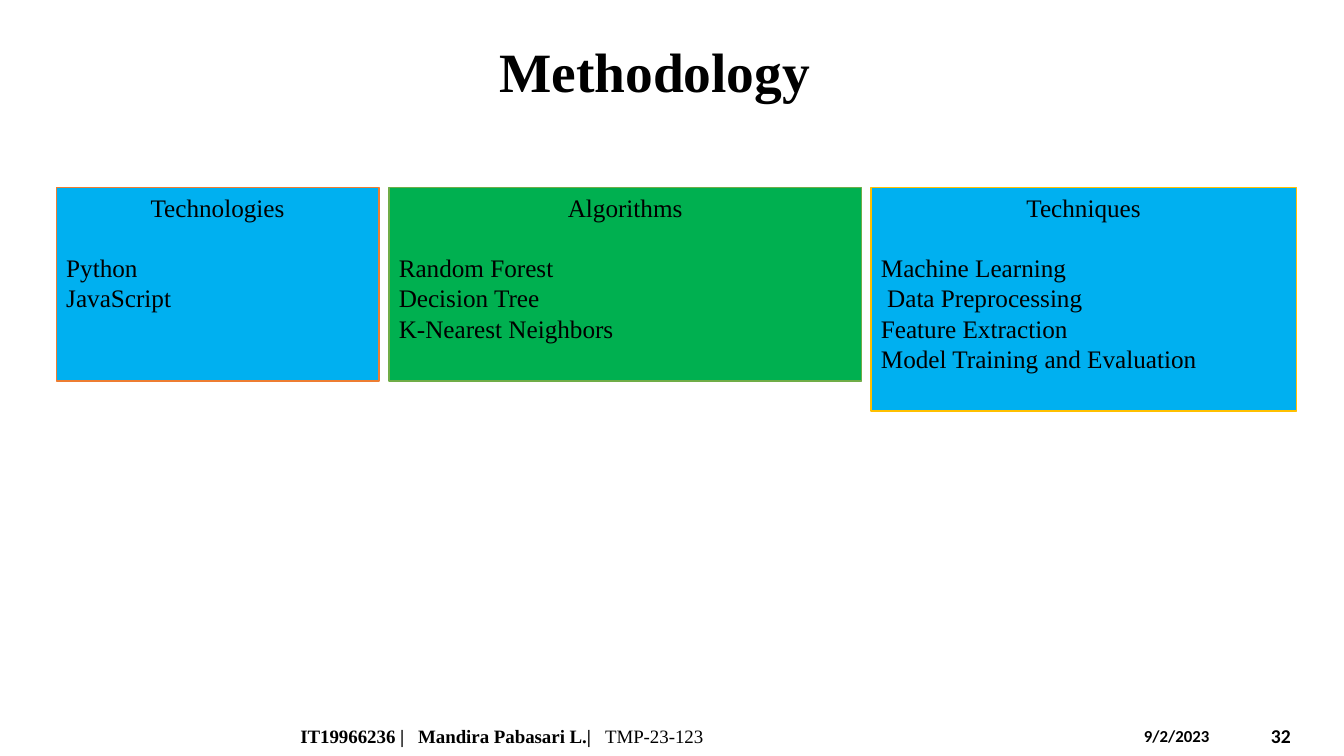
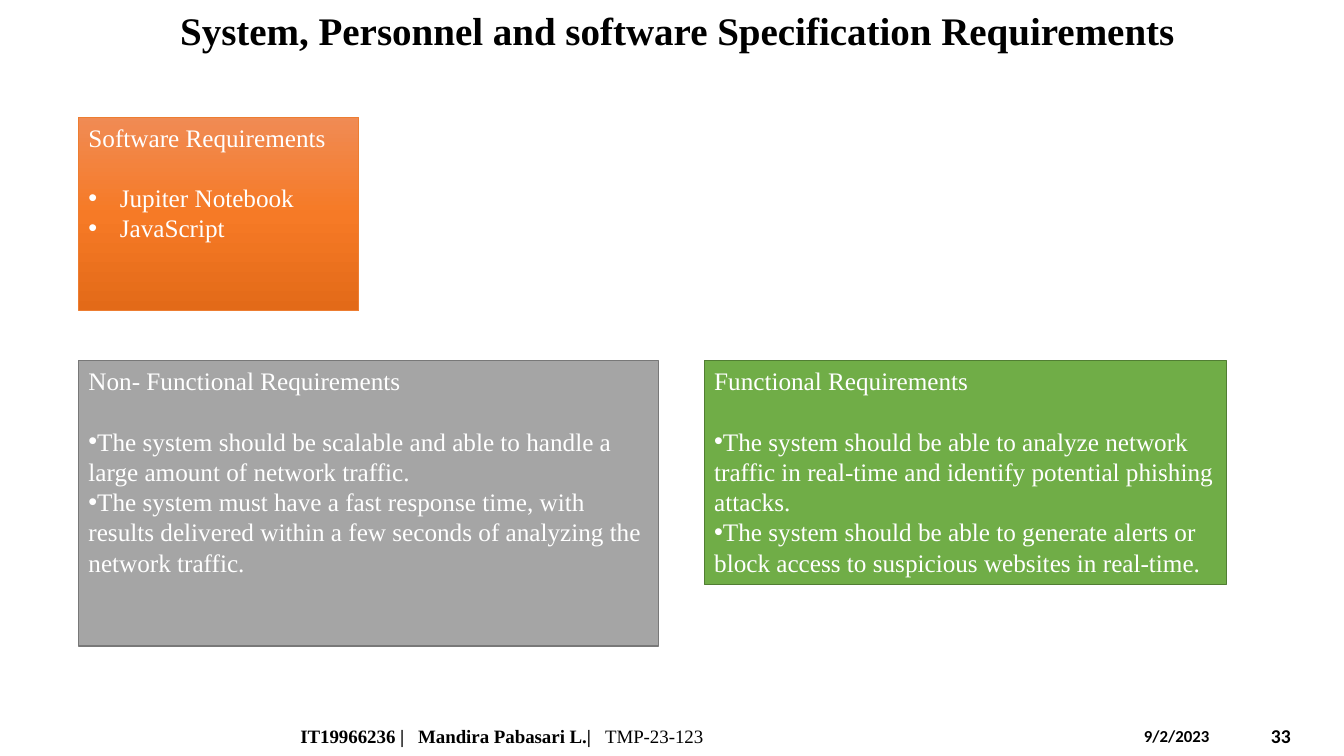
from copy import deepcopy

from lxml import etree
from pptx import Presentation
from pptx.dml.color import RGBColor
from pptx.enum.shapes import MSO_SHAPE
from pptx.enum.text import MSO_ANCHOR, PP_ALIGN
from pptx.oxml.ns import qn
from pptx.util import Cm, Pt

RECTANGLE = MSO_SHAPE.RECTANGLE
TOP, MIDDLE = MSO_ANCHOR.TOP, MSO_ANCHOR.MIDDLE
LEFT, CENTER = PP_ALIGN.LEFT, PP_ALIGN.CENTER

BLACK = RGBColor(0x00, 0x00, 0x00)
WHITE = RGBColor(0xFF, 0xFF, 0xFF)
SKY = RGBColor(0x00, 0xB0, 0xF0)
EMERALD = RGBColor(0x00, 0xB0, 0x50)
ORANGE = RGBColor(0xED, 0x7D, 0x31)
GOLD = RGBColor(0xFF, 0xC0, 0x00)
GREEN = RGBColor(0x70, 0xAD, 0x47)
DARK_GREEN = RGBColor(0x51, 0x7E, 0x33)
GRAY = RGBColor(0xA5, 0xA5, 0xA5)
DARK_GRAY = RGBColor(0x78, 0x78, 0x78)
ORANGE_BLEND = [(0, RGBColor(0xF0, 0x8B, 0x54)),
                (0.5, RGBColor(0xF6, 0x7A, 0x26)),
                (1, RGBColor(0xE3, 0x6A, 0x18))]

SERIF, SANS = "Times New Roman", "Calibri"
HEADING_GAP = Pt(21.5)
FIRST_PAGE_NUMBER = 32
FOOTER_PARTS = [("IT19966236 |\tMandira Pabasari L.|\t", True), ("TMP-23-123", False)]
FOOTER_TABS = [Cm(2.97), Cm(7.68)]


def add_label(page, left, top, width, height, text, size, font=SERIF,
              anchor=MIDDLE, align=LEFT):
    """Add a one-line bold black text box and return its paragraph."""
    box = page.shapes.add_textbox(Cm(left), Cm(top), Cm(width), Cm(height))
    box.text_frame.word_wrap = True
    box.text_frame.vertical_anchor = anchor
    para = box.text_frame.paragraphs[0]
    para.text = text
    para.alignment = align
    para.font.name, para.font.size, para.font.bold = font, Pt(size), True
    para.font.color.rgb = BLACK
    return para


def add_card(page, left, top, width, height, fill, line, heading, items,
             color, align=LEFT, bullet_indent=None, line_width=1):
    """Add a filled card; a bullet_indent of None means items without bullets."""
    box = page.shapes.add_shape(RECTANGLE, Cm(left), Cm(top), Cm(width), Cm(height))
    box.shadow.inherit = False
    box.line.color.rgb = line
    box.line.width = Pt(line_width)
    if isinstance(fill, list):
        box.fill.gradient()
        box.fill.gradient_angle = 270
        first_stop = next(box._element.spPr.iter(qn("a:gs")))
        first_stop.addnext(deepcopy(first_stop))
        for stop, (position, stop_color) in zip(box.fill.gradient_stops, fill):
            stop.position = position
            stop.color.rgb = stop_color
    else:
        box.fill.solid()
        box.fill.fore_color.rgb = fill

    frame = box.text_frame
    frame.word_wrap = True
    frame.vertical_anchor = TOP
    for index, text in enumerate([heading] + items):
        para = frame.add_paragraph() if index else frame.paragraphs[0]
        para.text = text
        para.alignment = LEFT if index else align
        if index == 0:
            para.space_after = HEADING_GAP
        elif bullet_indent is not None:
            properties = para._p.get_or_add_pPr()
            properties.set("marL", str(Cm(bullet_indent)))
            properties.set("indent", str(-Cm(bullet_indent)))
            etree.SubElement(properties, qn("a:buFont"), typeface="Arial")
            etree.SubElement(properties, qn("a:buChar"), char="•")
        para.font.name, para.font.size = SERIF, Pt(18)
        para.font.color.rgb = color


deck = Presentation()
deck.slide_width, deck.slide_height = Cm(33.87), Cm(19.05)
blank_layout = deck.slide_layouts[6]
methodology = deck.slides.add_slide(blank_layout)
requirements = deck.slides.add_slide(blank_layout)

# Date, page number and footer
for number, page in enumerate(deck.slides, FIRST_PAGE_NUMBER):
    add_label(page, 31.78, 18.03, 1.88, 1.02, str(number), 14, SANS)
    add_label(page, 28.58, 18.16, 2.97, 0.76, "9/2/2023", 12, SANS, TOP)
    footer = add_label(page, 7.32, 18.03, 18.92, 1.02, "", 13.5)
    tab_list = etree.Element(qn("a:tabLst"))
    for position in FOOTER_TABS:
        etree.SubElement(tab_list, qn("a:tab"), pos=str(position), algn="l")
    footer._p.pPr.find(qn("a:defRPr")).addprevious(tab_list)
    for text, bold in FOOTER_PARTS:
        span = footer.add_run()
        span.text = text
        span.font.bold = bold

# Methodology
title = add_label(methodology, 2.34, 1.02, 28.32, 1.7, "Methodology", 39.6, align=CENTER)
title.line_spacing = 0.9
for left, width, height, fill, line, heading, items in [
    (1.42, 8.13, 4.88, SKY, ORANGE, "Technologies", ["Python", "JavaScript"]),
    (9.8, 11.91, 4.88, EMERALD, GREEN, "Algorithms",
     ["Random Forest", "Decision Tree", "K-Nearest Neighbors"]),
    (21.95, 10.72, 5.64, SKY, GOLD, "Techniques",
     ["Machine Learning", " Data Preprocessing", "Feature Extraction",
      "Model Training and Evaluation"]),
]:
    add_card(methodology, left, 4.72, width, height, fill, line, heading, items,
             BLACK, CENTER)

# Requirements
title = add_label(requirements, 0.84, 0, 32.46, 1.68,
                  "System, Personnel and software Specification Requirements",
                  27.9, align=CENTER)
title.line_spacing = 0.9
add_card(requirements, 1.98, 2.95, 7.06, 4.88, ORANGE_BLEND, ORANGE,
         "Software Requirements", ["Jupiter Notebook", "JavaScript"],
         WHITE, bullet_indent=0.79, line_width=0.75)
for left, width, height, fill, line, heading, items in [
    (17.75, 13.16, 5.64, GREEN, DARK_GREEN, "Functional Requirements",
     ["The system should be able to analyze network traffic in real-time and "
      "identify potential phishing attacks.",
      "The system should be able to generate alerts or block access to "
      "suspicious websites in real-time."]),
    (1.98, 14.61, 7.19, GRAY, DARK_GRAY, "Non- Functional Requirements",
     ["The system should be scalable and able to handle a large amount of "
      "network traffic.",
      "The system must have a fast response time, with results delivered "
      "within a few seconds of analyzing the network traffic."]),
]:
    add_card(requirements, left, 9.09, width, height, fill, line, heading, items,
             WHITE, bullet_indent=0)

deck.save("out.pptx")
